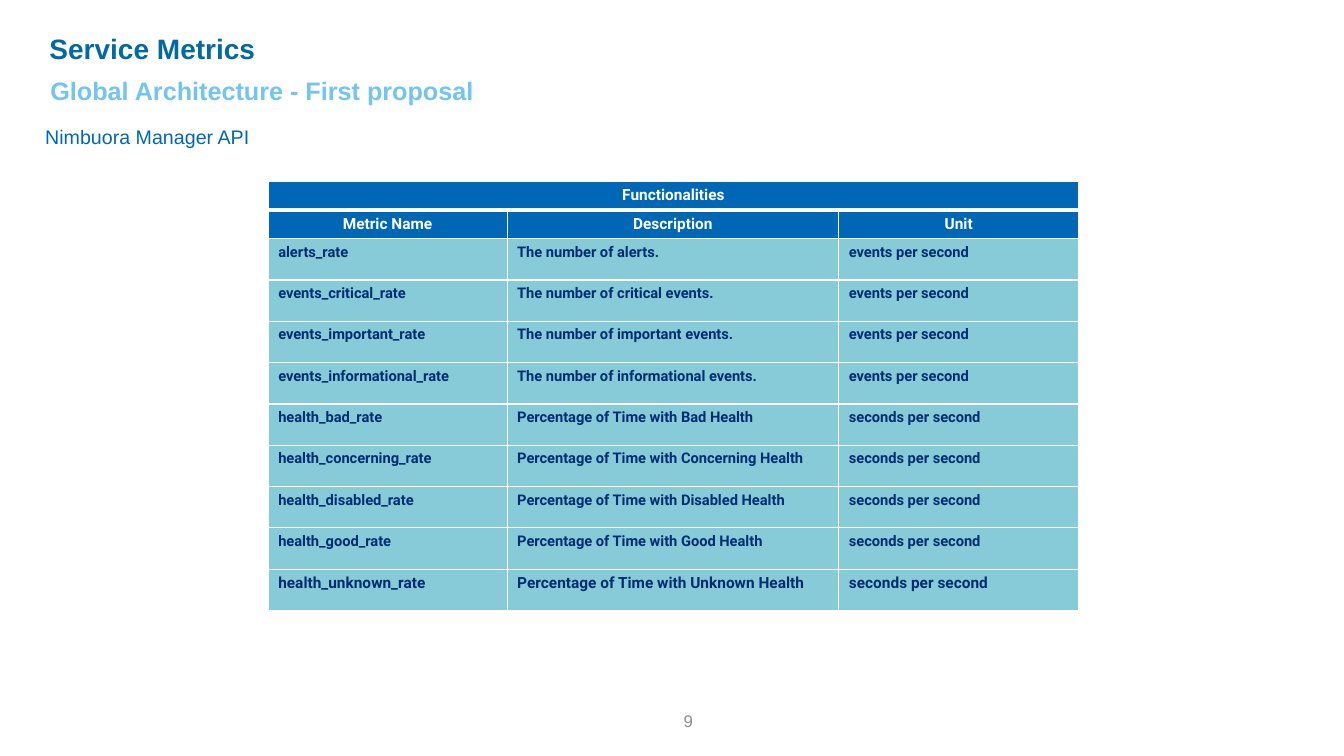
from lxml import etree
from pptx import Presentation
from pptx.dml.color import RGBColor
from pptx.enum.text import MSO_ANCHOR, PP_ALIGN
from pptx.oxml.ns import qn
from pptx.util import Inches, Pt

LEFT, CENTER, RIGHT = PP_ALIGN.LEFT, PP_ALIGN.CENTER, PP_ALIGN.RIGHT
TOP, MIDDLE = MSO_ANCHOR.TOP, MSO_ANCHOR.MIDDLE

COLORS = {
    "title": "016AA2",
    "subtitle": "73C4EF",
    "header": "0067B7",
    "body": "87CBD8",
    "body_text": "002D72",
    "white": "FFFFFF",
    "page": "8C8C8C",
}
COLUMN_WIDTHS = (2.37, 3.29, 2.38)
HEADER_HEIGHT, BODY_HEIGHT = 0.28, 0.41
COLUMN_TITLES = ("Metric Name", "Description", "Unit")
EVENTS, SECONDS = "events per second", "seconds per second"
METRICS = (
    ("alerts_rate", "The number of alerts.", EVENTS),
    ("events_critical_rate", "The number of critical events.", EVENTS),
    ("events_important_rate", "The number of important events.", EVENTS),
    ("events_informational_rate", "The number of informational events.", EVENTS),
    ("health_bad_rate", "Percentage of Time with Bad Health", SECONDS),
    ("health_concerning_rate", "Percentage of Time with Concerning Health", SECONDS),
    ("health_disabled_rate", "Percentage of Time with Disabled Health", SECONDS),
    ("health_good_rate", "Percentage of Time with Good Health", SECONDS),
    ("health_unknown_rate", "Percentage of Time with Unknown Health", SECONDS),
)


def write(frame, text, size, color, font="Arial", bold=False, align=LEFT):
    paragraph = frame.paragraphs[0]
    paragraph.alignment = align
    run = paragraph.add_run()
    run.text = text
    run.font.name = font
    run.font.size = Pt(size)
    run.font.bold = bold
    run.font.color.rgb = RGBColor.from_string(COLORS[color])


def add_label(slide, box, text, size, color, bold=False, align=LEFT, anchor=TOP, side=0.1):
    frame = slide.shapes.add_textbox(*map(Inches, box)).text_frame
    frame.word_wrap = True
    frame.vertical_anchor = anchor
    frame.margin_left = frame.margin_right = Inches(side)
    write(frame, text, size, color, bold=bold, align=align)


def add_headings(slide, left, top):
    add_label(slide, (left + 0.09, top, 2.83, 0.44), "Service Metrics", 20, "title", True, side=0.05)
    add_label(slide, (left + 0.1, top + 0.44, 6.23, 0.4),
              "Global Architecture - First proposal", 18, "subtitle", True, side=0.05)
    add_label(slide, (left, top + 0.93, 2.44, 0.5), "Nimbuora Manager API", 14, "header")


def set_borders(cell, widths):
    properties = cell._tc.get_or_add_tcPr()
    for side, width in zip("LRTB", widths):
        line = etree.SubElement(properties, qn(f"a:ln{side}"), w=str(Pt(width)))
        fill = etree.SubElement(line, qn("a:solidFill"))
        etree.SubElement(fill, qn("a:srgbClr"), val=COLORS["white"])


def style_cell(cell, fill, widths):
    set_borders(cell, widths)
    cell.fill.solid()
    cell.fill.fore_color.rgb = RGBColor.from_string(COLORS[fill])


def add_metrics_table(slide, left, top):
    contents = (("Functionalities",), COLUMN_TITLES) + METRICS
    heights = [HEADER_HEIGHT] * 2 + [BODY_HEIGHT] * len(METRICS)
    box = (left, top, sum(COLUMN_WIDTHS), sum(heights))
    table = slide.shapes.add_table(len(contents), len(COLUMN_WIDTHS), *map(Inches, box)).table
    for column, width in zip(table.columns, COLUMN_WIDTHS):
        column.width = Inches(width)
    table.cell(0, 0).merge(table.cell(0, len(COLUMN_WIDTHS) - 1))
    for index, (row, height, texts) in enumerate(zip(table.rows, heights, contents)):
        row.height = Inches(height)
        is_header = index < 2
        widths = (1, 1, 3 if index == 1 else 1, 3 if index == 0 else 1)
        size = 11 if is_header or index == len(contents) - 1 else 10.5
        for cell in row.cells:
            style_cell(cell, "header" if is_header else "body", widths)
        for cell, text in zip(row.cells, texts):
            write(cell.text_frame, text, size, "white" if is_header else "body_text",
                  "Roboto", True, CENTER if is_header else LEFT)


def add_page_number(slide, box):
    add_label(slide, box, "9", 12, "page", align=RIGHT, anchor=MIDDLE)


def main():
    deck = Presentation()
    deck.slide_width, deck.slide_height = Inches(13.33), Inches(7.5)
    slide = deck.slides.add_slide(deck.slide_layouts[6])
    add_page_number(slide, (3.34, 6.95, 3.63, 0.4))
    add_headings(slide, 0.35, 0.26)
    add_metrics_table(slide, 2.66, 1.8)
    deck.save("out.pptx")


if __name__ == "__main__":
    main()
